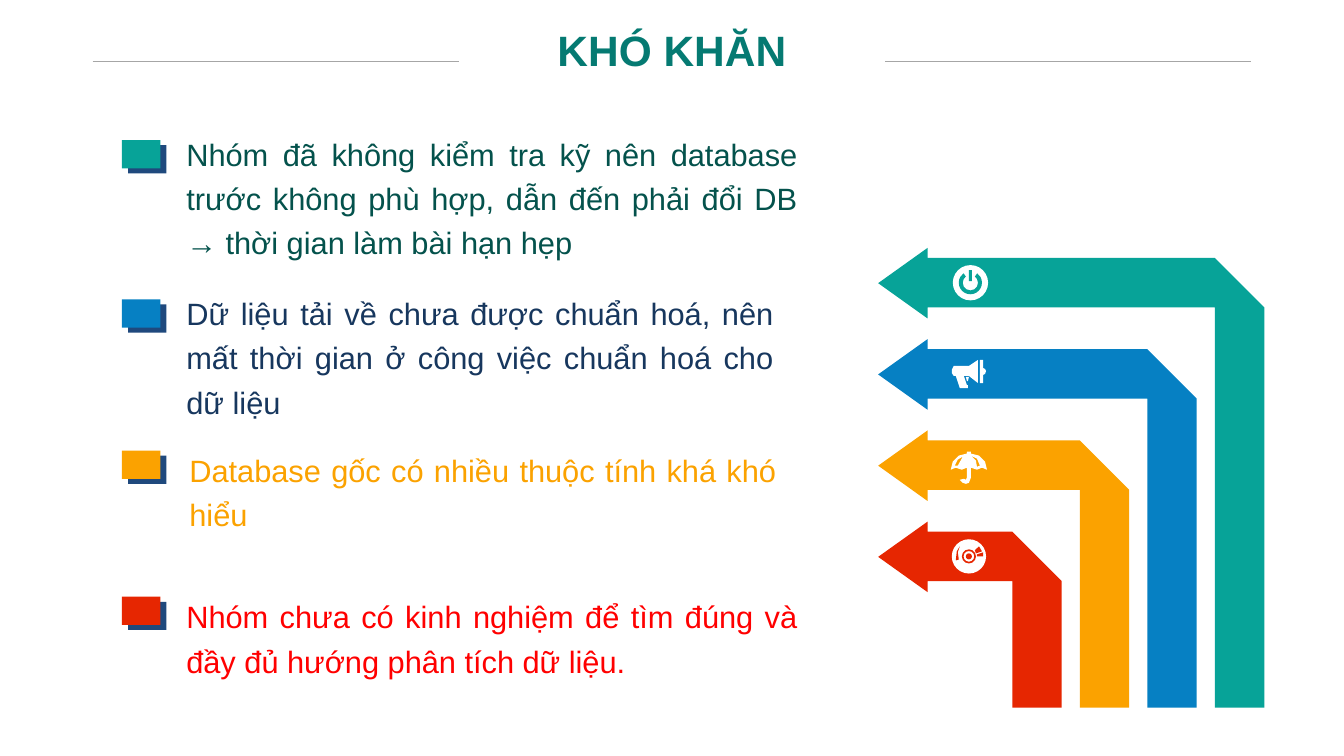
from lxml import etree
from pptx import Presentation
from pptx.dml.color import RGBColor
from pptx.enum.shapes import MSO_CONNECTOR as Connector, MSO_SHAPE as Preset
from pptx.enum.text import MSO_ANCHOR as Anchor, MSO_AUTO_SIZE as AutoSize, PP_ALIGN as Align
from pptx.oxml.ns import qn
from pptx.util import Inches, Pt

COLOURS = {
    "teal": "07A398", "blue": "0680C3", "amber": "FBA200", "red": "E62601",
    "white": "FFFFFF", "navy": "1F497D", "rule": "A6A6A6", "title": "057A72",
    "teal text": "04524C", "blue text": "17375E", "red text": "FF0000",
}
COLOURS = {name: RGBColor.from_string(value) for name, value in COLOURS.items()}

deck = Presentation()
deck.slide_width, deck.slide_height = Inches(13.33), Inches(7.5)
slide = deck.slides.add_slide(deck.slide_layouts[6])
shapes = slide.shapes


def paint(shape, colour):
    """Give a shape a flat fill with no outline or shadow."""
    shape.shadow.inherit = False
    shape.fill.solid()
    shape.fill.fore_color.rgb = COLOURS[colour]
    shape.line.fill.background()


def draw_outline(contours, colour):
    """Draw closed contours as one shape; inner contours become holes."""
    contours = [[(Inches(x), Inches(y)) for x, y in contour] for contour in contours]
    builder = shapes.build_freeform(*contours[0][0])
    builder.add_line_segments(contours[0][1:])
    for contour in contours[1:]:
        builder.move_to(*contour[0])
        builder.add_line_segments(contour[1:])
    paint(builder.convert_to_shape(), colour)


# Nested arrows, from the outermost to the innermost
tip, neck, base, band = 8.71, 9.2, 7.02, 0.49
for level, colour in enumerate(["teal", "blue", "amber", "red"]):
    top = 2.46 + 0.905 * level
    right = 12.54 - 0.67 * level
    left, upper = right - band, top + 0.1
    lower = upper + band
    draw_outline([[
        (neck, top), (neck, upper), (left, upper), (right, lower),
        (right, base), (left, base), (left, lower), (neck, lower),
        (neck, top + 0.7), (tip, top + 0.35),
    ]], colour)

# Power button and disc icons
icon_parts = [
    (Preset.OVAL, 9.45, 2.63, 0.35, 0.35, "white", []),
    (Preset.BLOCK_ARC, 9.51, 2.69, 0.23, 0.23, "teal", [306 * 0.6, 234 * 0.6, 0.17]),
    (Preset.RECTANGLE, 9.61, 2.68, 0.03, 0.11, "teal", []),
    (Preset.OVAL, 9.44, 5.35, 0.34, 0.34, "white", []),
    (Preset.DONUT, 9.54, 5.45, 0.14, 0.14, "red", [0.12]),
    (Preset.OVAL, 9.58, 5.49, 0.06, 0.06, "red", []),
]
for preset, left, top, width, height, colour, adjustments in icon_parts:
    part = shapes.add_shape(preset, Inches(left), Inches(top), Inches(width), Inches(height))
    paint(part, colour)
    for index, value in enumerate(adjustments):
        part.adjustments[index] = value

megaphone = [
    [(9.46, 3.63), (9.61, 3.63), (9.7, 3.57), (9.7, 3.8), (9.61, 3.73), (9.56, 3.73),
     (9.59, 3.82), (9.6, 3.82), (9.6, 3.85), (9.52, 3.85), (9.48, 3.73), (9.46, 3.73),
     (9.44, 3.7), (9.44, 3.67)],
    [(9.75, 3.65), (9.77, 3.66), (9.78, 3.68), (9.77, 3.71), (9.75, 3.72), (9.75, 3.8),
     (9.72, 3.8), (9.72, 3.57), (9.75, 3.57)],
    [(9.61, 3.74), (9.58, 3.74), (9.59, 3.78), (9.6, 3.78)],
]
umbrella = [
    [(9.43, 4.66), (9.45, 4.58), (9.51, 4.52), (9.59, 4.5), (9.59, 4.48), (9.63, 4.48),
     (9.63, 4.5), (9.71, 4.52), (9.77, 4.58), (9.79, 4.66), (9.74, 4.64), (9.69, 4.66),
     (9.63, 4.64), (9.63, 4.74), (9.61, 4.79), (9.58, 4.8), (9.55, 4.79), (9.52, 4.76),
     (9.56, 4.75), (9.58, 4.76), (9.59, 4.74), (9.59, 4.64), (9.54, 4.66), (9.48, 4.64)],
    [(9.69, 4.63), (9.72, 4.62), (9.69, 4.55), (9.63, 4.52), (9.68, 4.57)],
    [(9.47, 4.62), (9.5, 4.62), (9.55, 4.53), (9.5, 4.56)],
]
disc_glints = [
    [(9.67, 5.46), (9.68, 5.49), (9.74, 5.47), (9.71, 5.42)],
    [(9.69, 5.5), (9.69, 5.52), (9.75, 5.52), (9.75, 5.48)],
    [(9.52, 5.42), (9.49, 5.47), (9.48, 5.56), (9.51, 5.55), (9.5, 5.48)],
]
for contours, colour in [(megaphone, "white"), (umbrella, "white"), (disc_glints, "red")]:
    draw_outline(contours, colour)

# Square markers with an offset navy backing
for top, colour in [(1.39, "teal"), (2.97, "blue"), (4.47, "amber"), (5.92, "red")]:
    for offset, layer in [(0.05, "navy"), (0, colour)]:
        marker = shapes.add_shape(Preset.RECTANGLE, Inches(1.21 + offset * 1.2),
                                  Inches(top + offset), Inches(0.38), Inches(0.28))
        paint(marker, layer)

# Title and difficulties
body_frame = {"word_wrap": True, "auto_size": AutoSize.SHAPE_TO_FIT_TEXT}
title_frame = body_frame | {"vertical_anchor": Anchor.MIDDLE, "margin_left": 0,
                            "margin_right": 0, "margin_top": 0, "margin_bottom": 0}
body_paragraph = {"alignment": Align.JUSTIFY, "line_spacing": 1.2}
title_paragraph = {"alignment": Align.CENTER}
body_font = {"name": "Arial", "size": Pt(22)}
title_font = {"name": "Arial", "size": Pt(30.3), "bold": True}
body_style = (body_frame, body_paragraph, body_font)
title_style = (title_frame, title_paragraph, title_font)

texts = [
    ("Nhóm đã không kiểm tra kỹ nên database trước không phù hợp, dẫn đến phải đổi DB "
     "→ thời gian làm bài hạn hẹp", (1.75, 1.22, 6.26, 1.39), "teal text", body_style),
    ("Dữ liệu tải về chưa được chuẩn hoá, nên mất thời gian ở công việc chuẩn hoá cho dữ liệu",
     (1.75, 2.8, 6.02, 1.39), "blue text", body_style),
    ("Database gốc có nhiều thuộc tính khá khó hiểu",
     (1.78, 4.36, 6.02, 0.95), "amber", body_style),
    ("Nhóm chưa có kinh nghiệm để tìm đúng và đầy đủ hướng phân tích dữ liệu.",
     (1.75, 5.81, 6.26, 0.95), "red text", body_style),
    ("KHÓ KHĂN", (4.62, 0.24, 4.09, 0.51), "title", title_style),
]
for wording, place, colour, style in texts:
    frame = shapes.add_textbox(*map(Inches, place)).text_frame
    paragraph = frame.paragraphs[0]
    run = paragraph.add_run()
    run.text = wording
    run.font.color.rgb = COLOURS[colour]
    for target, values in zip((frame, paragraph, run.font), style):
        for attribute, value in values.items():
            setattr(target, attribute, value)

# Rules on both sides of the title
for left in (0.92, 8.78):
    rule = shapes.add_connector(Connector.STRAIGHT, Inches(left), Inches(0.61),
                                Inches(left + 3.63), Inches(0.61))
    rule.line.color.rgb = COLOURS["rule"]
    rule.line.width = Pt(0.5)
    etree.SubElement(rule._element.spPr, qn("a:effectLst"))

deck.save("out.pptx")
